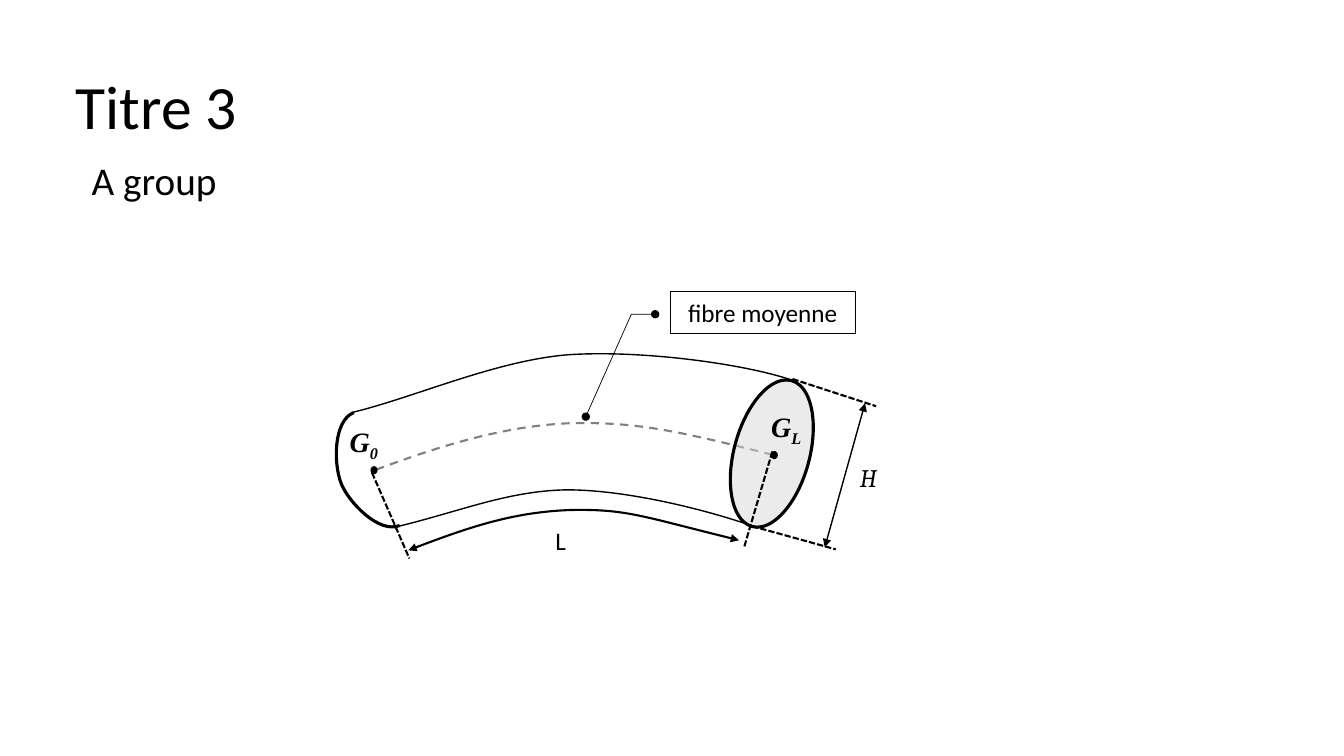
from lxml import etree
from pptx import Presentation
from pptx.dml.color import RGBColor
from pptx.enum import dml, shapes, text
from pptx.oxml.ns import qn
from pptx.util import Inches, Pt

COLORS = {"ink": "000000", "fibre": "808080", "section": "D9D9D9", "paper": "FFFFFF"}
DASH = dml.MSO_LINE.DASH
SHORT_DASH = dml.MSO_LINE.SQUARE_DOT  # sysDash once written to the file
ARROWS = "triangle"
END_TILT = 337.9

TITLE = ("Titre 3", 44, (0.65, 0.36, 11.5, 1.45))
SUBTITLE = ("A group", 28, (0.81, 1.55, 11.5, 0.8))

# cubic control points before rotation, rotation, colour, width, dash, ends
CURVES = [
    ([(3.73, 4.66), (4.35, 4.43), (4.98, 4.23), (5.63, 4.2),
      (6.29, 4.18), (6.71, 4.27), (7.69, 4.52)], 0, "fibre", 1.5, DASH, None),
    ([(3.72, 3.98), (3.93, 3.98), (4.1, 4.25), (4.1, 4.58),
      (4.1, 4.92), (3.93, 5.19), (3.72, 5.19)], END_TILT, "paper", 2.25, SHORT_DASH, None),
    ([(3.75, 5.33), (3.53, 5.33), (3.37, 4.93), (3.37, 4.73),
      (3.37, 4.52), (3.53, 4.12), (3.75, 4.12)], END_TILT, "ink", 2.25, None, None),
    ([(3.5, 4.09), (4.12, 3.94), (4.91, 3.58), (5.63, 3.52),
      (6.36, 3.47), (7.38, 3.61), (7.85, 3.77)], 0, "ink", 1, None, None),
    ([(3.92, 5.23), (4.55, 5.08), (5.03, 4.87), (5.62, 4.86),
      (6.21, 4.86), (6.97, 5.05), (7.44, 5.21)], 0, "ink", 1, None, None),
    ([(4.05, 5.46), (4.67, 5.22), (5.12, 5.08), (5.66, 5.06),
      (6.21, 5.05), (6.35, 5.12), (7.33, 5.36)], 0, "ink", 1.5, None, ARROWS),
]
# box, rotation, fill, line width
OVALS = [
    ((7.28, 3.75, 0.75, 1.5), 15.1, "section", 2.25),
    ((3.68, 4.63, 0.06, 0.07), 0, "ink", 0.75),
    ((7.65, 4.48, 0.06, 0.07), 0, "ink", 0.75),
]
# start, end, width, dash, ends
STRAIGHTS = [
    ((3.69, 4.69), (4.06, 5.54), 1.5, SHORT_DASH, None),
    ((7.66, 4.48), (7.38, 5.43), 1.5, SHORT_DASH, None),
    ((7.86, 3.76), (8.69, 4.03), 1.5, SHORT_DASH, None),
    ((7.46, 5.22), (8.29, 5.45), 1.5, SHORT_DASH, None),
    ((8.58, 4.0), (8.18, 5.43), 1, None, ARROWS),
]
# letter, subscript, box, size, font, bold, italic
LABELS = [
    ("G", "0", (3.37, 4.16, 0.57, 0.44), 20, "Times New Roman", True, True),
    ("G", "L", (7.55, 4.01, 0.58, 0.44), 20, "Times New Roman", True, True),
    ("L", "", (5.41, 5.16, 0.33, 0.4), 18, "Calibri", False, False),
    ("H", "", (8.43, 4.54, 0.45, 0.4), 18, "Cambria", False, True),
]
CALLOUT = ("fibre moyenne", (6.65, 2.89, 1.83, 0.42),
           (0.54, -0.083, 0.54, -0.212, 2.96, -0.459))


def rgb(name):
    return RGBColor.from_string(COLORS[name])


def inches(values):
    return [Inches(v) for v in values]


def write(paragraph, words, size, font="Calibri", bold=False, italic=False):
    run = paragraph.add_run()
    run.text = words
    run.font.size, run.font.name = Pt(size), font
    run.font.bold, run.font.italic = bold, italic
    run.font.color.rgb = rgb("ink")
    return run


def style_line(line, color, width, dash=None, ends=None):
    line.color.rgb = rgb(color)
    line.width = Pt(width)
    if dash:
        line.dash_style = dash
    if ends:
        for tag in ("a:headEnd", "a:tailEnd"):
            etree.SubElement(line._get_or_add_ln(), qn(tag), type=ends)


def fill_placeholder(holder, content):
    words, size, box = content
    holder.left, holder.top, holder.width, holder.height = inches(box)
    holder.text_frame.auto_size = text.MSO_AUTO_SIZE.NONE
    paragraph = holder.text_frame.paragraphs[0]
    paragraph.alignment = text.PP_ALIGN.LEFT
    paragraph.line_spacing = 0.9
    paragraph.space_before = Pt(0)
    write(paragraph, words, size)
    return paragraph


def add_curve(beam, points):
    """Build a freeform through every third point, then bend its segments into cubics."""
    start, *knots = [inches(point) for point in points[::3]]
    builder = beam.build_freeform(*start)
    builder.add_line_segments(knots, close=False)
    curve = builder.convert_to_shape()
    segments = list(curve._element.spPr.iter(qn("a:lnTo")))
    for index, segment in enumerate(segments):
        cubic = etree.Element(qn("a:cubicBezTo"))
        for x, y in points[3 * index + 1:3 * index + 4]:
            etree.SubElement(cubic, qn("a:pt"), x=str(Inches(x) - curve.left),
                             y=str(Inches(y) - curve.top))
        segment.getparent().replace(segment, cubic)
    return curve


def draw_beam(beam):
    for points, rotation, *look in CURVES:
        curve = add_curve(beam, points)
        curve.rotation = rotation
        curve.shadow.inherit = False
        curve.fill.background()
        style_line(curve.line, *look)

    for box, rotation, fill, width in OVALS:
        oval = beam.add_shape(shapes.MSO_SHAPE.OVAL, *inches(box))
        oval.shadow.inherit = False
        oval.rotation = rotation
        oval.fill.solid()
        oval.fill.fore_color.rgb = rgb(fill)
        if fill == "section":
            tint = oval._element.spPr.find(qn("a:solidFill"))[0]
            etree.SubElement(tint, qn("a:alpha"), val="50000")
        style_line(oval.line, "ink", width)

    for start, end, *look in STRAIGHTS:
        straight = beam.add_connector(shapes.MSO_CONNECTOR.STRAIGHT, *inches(start + end))
        style_line(straight.line, "ink", *look)
        etree.SubElement(straight._element.spPr, qn("a:effectLst"))


def draw_labels(beam):
    for letter, subscript, box, *look in LABELS:
        frame = beam.add_textbox(*inches(box)).text_frame
        frame.word_wrap = False
        frame.auto_size = text.MSO_AUTO_SIZE.SHAPE_TO_FIT_TEXT
        write(frame.paragraphs[0], letter, *look)
        if subscript:
            lowered = write(frame.paragraphs[0], subscript, *look)
            lowered._r.get_or_add_rPr().set("baseline", "-25000")

    words, box, leader = CALLOUT
    callout = beam.add_shape(shapes.MSO_SHAPE.LINE_CALLOUT_2, *inches(box))
    callout.shadow.inherit = False
    for index, value in enumerate(leader):
        callout.adjustments[index] = value
    callout.fill.solid()
    callout.fill.fore_color.rgb = rgb("paper")
    style_line(callout.line, "ink", 0.5, ends="oval")
    callout.text_frame.vertical_anchor = text.MSO_ANCHOR.MIDDLE
    paragraph = callout.text_frame.paragraphs[0]
    paragraph.alignment = text.PP_ALIGN.CENTER
    write(paragraph, words, 18)


def main():
    deck = Presentation()
    deck.slide_width, deck.slide_height = Inches(13.33), Inches(7.5)
    slide = deck.slides.add_slide(deck.slide_layouts[1])

    fill_placeholder(slide.shapes.title, TITLE)
    slide.shapes.title.text_frame.vertical_anchor = text.MSO_ANCHOR.MIDDLE
    subtitle = fill_placeholder(slide.placeholders[1], SUBTITLE)
    properties = subtitle._p.get_or_add_pPr()
    properties.set("marL", "0")
    properties.set("indent", "0")
    etree.SubElement(properties, qn("a:buNone"))

    beam = slide.shapes.add_group_shape().shapes
    draw_beam(beam)
    draw_labels(beam)
    deck.save("out.pptx")


if __name__ == "__main__":
    main()
